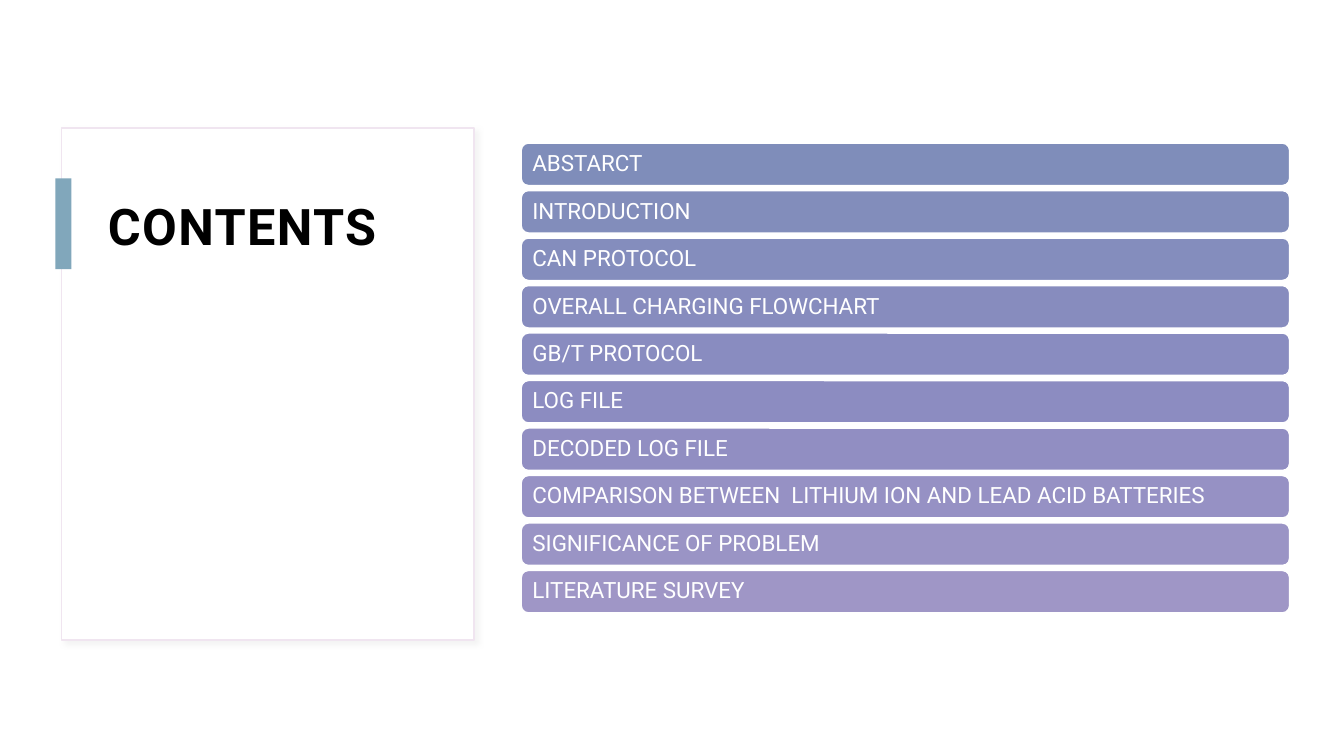
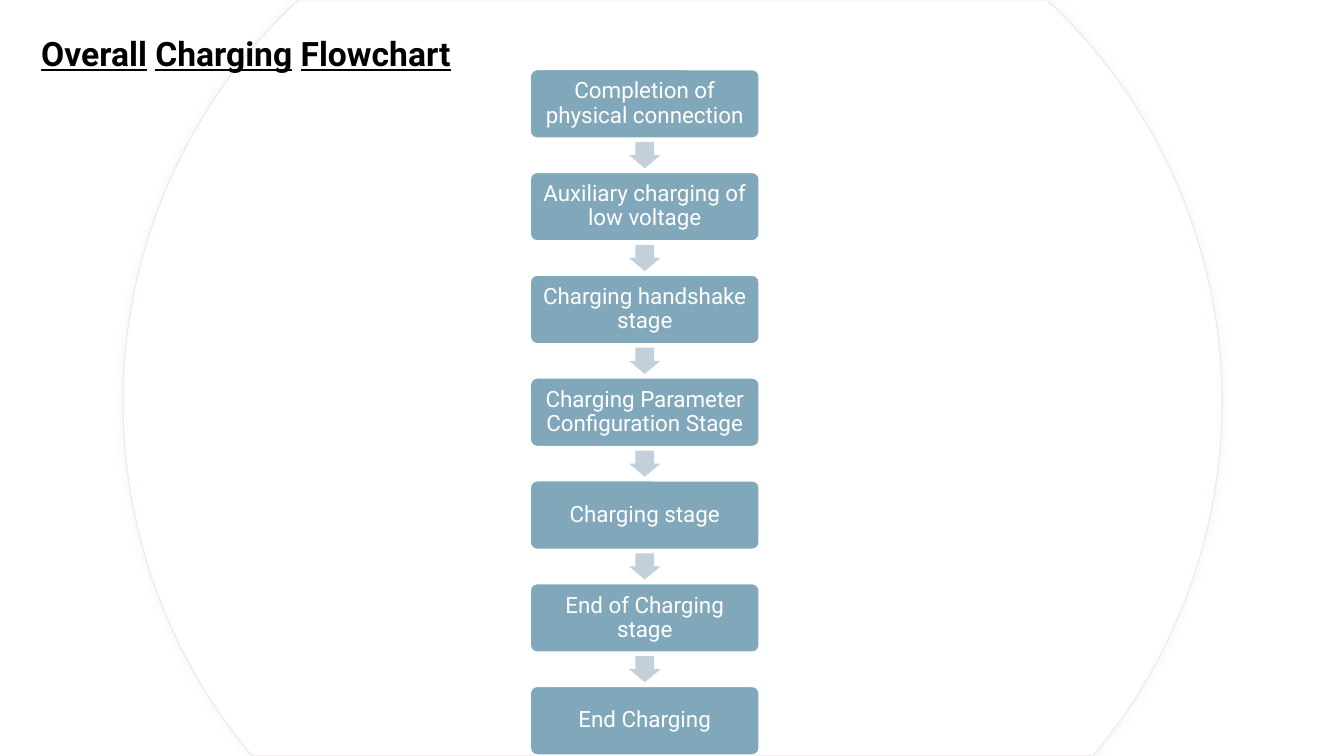
from math import asin, cos, sin

from lxml import etree
from pptx import Presentation
from pptx.dml.color import RGBColor
from pptx.enum.shapes import MSO_SHAPE as SHAPE
from pptx.enum.text import MSO_ANCHOR as ANCHOR, PP_ALIGN as ALIGN
from pptx.oxml.ns import qn
from pptx.util import Inches, Pt

FONT = "Roboto"
COLORS = {
    "white": "FFFFFF",
    "text": "000000",
    "accent": "81A7BB",
    "arrow": "C1D0DA",
    "edge": "F0E5F0",
    "shadow": "D9D9D9",
    "bar_first": "7F8DBA",
    "bar_middle": "8C8CC1",
    "bar_last": "9F96C6",
}
TOPICS = [
    "ABSTARCT",
    "INTRODUCTION",
    "CAN PROTOCOL",
    "OVERALL CHARGING FLOWCHART",
    "GB/T PROTOCOL",
    "LOG FILE",
    "DECODED LOG FILE",
    "COMPARISON BETWEEN  LITHIUM ION AND LEAD ACID BATTERIES",
    "SIGNIFICANCE OF PROBLEM",
    "LITERATURE SURVEY",
]
STAGES = [
    "Completion of physical connection",
    "Auxiliary charging of low voltage",
    "Charging handshake stage",
    "Charging Parameter Configuration Stage",
    "Charging stage",
    "End of Charging stage",
    "End Charging",
]


def rgb(color):
    return RGBColor.from_string(COLORS.get(color, color))


def style(sp, fill, line=None, width=1):
    sp.shadow.inherit = False
    sp.fill.solid()
    sp.fill.fore_color.rgb = rgb(fill)
    if line:
        sp.line.color.rgb = rgb(line)
        sp.line.width = Pt(width)
    else:
        sp.line.fill.background()
    return sp


def add_box(slide, kind, box, fill, line=None):
    sp = slide.shapes.add_shape(kind, *map(Inches, box))
    return style(sp, fill, line)


def add_soft_shadow(sp, blur, dist, angle):
    """Give a styled shape an outer shadow; blur and dist in points, angle in degrees."""
    effects = sp._element.spPr.find(qn("a:effectLst"))
    shadow = etree.SubElement(
        effects, qn("a:outerShdw"), blurRad=str(Pt(blur)), dist=str(Pt(dist)),
        dir=str(angle * 60000), algn="ctr", rotWithShape="0")
    color = etree.SubElement(shadow, qn("a:srgbClr"), val=COLORS["shadow"])
    etree.SubElement(color, qn("a:alpha"), val="30000")


def set_font(p, size, color, bold=False):
    p.font.name = FONT
    p.font.size = Pt(size)
    p.font.bold = bold
    p.font.color.rgb = rgb(color)


def set_label(sp, text, align):
    tf = sp.text_frame
    tf.word_wrap = True
    tf.vertical_anchor = ANCHOR.MIDDLE
    tf.margin_left = tf.margin_right = Inches(0.09)
    tf.margin_top = tf.margin_bottom = Inches(0.07)
    p = tf.paragraphs[0]
    p.text = text
    p.alignment = align
    p.line_spacing = 0.9
    set_font(p, 16, "white")


def add_text_box(slide, box, inset_x, inset_y):
    tf = slide.shapes.add_textbox(*map(Inches, box)).text_frame
    tf.word_wrap = True
    tf.margin_left = tf.margin_right = Inches(inset_x)
    tf.margin_top = tf.margin_bottom = Inches(inset_y)
    return tf.paragraphs[0]


def blend(start, end, share):
    """Return the hex colour that lies at share (0 to 1) between two colours."""
    return "".join(f"{round(a + (b - a) * share):02X}" for a, b in zip(rgb(start), rgb(end)))


def bar_color(i, middle=5):
    if i <= middle:
        return blend("bar_first", "bar_middle", i / middle)
    return blend("bar_middle", "bar_last", (i - middle) / (len(TOPICS) - 1 - middle))


def add_title_panel(slide, x, y, w, h):
    panel = add_box(slide, SHAPE.RECTANGLE, (x, y, w, h), "white", "edge")
    add_soft_shadow(panel, blur=4, dist=3, angle=45)
    p = add_text_box(slide, (x + 0.34, y + 0.61, w - 0.7, h - 1.23), 0.12, 0.12)
    p.line_spacing = 0.9
    set_font(p, 36, "text", bold=True)
    r = p.add_run()
    r.text = "CONTENTS"
    r._r.get_or_add_rPr().set("spc", "100")
    add_box(slide, SHAPE.RECTANGLE, (x - 0.06, y + 0.5, 0.16, 0.9), "accent")


def add_topic_bars(slide, x, y, w, h, bar_h=0.42):
    pitch = (h - bar_h) / (len(TOPICS) - 1)
    for i, topic in enumerate(TOPICS):
        bar = add_box(slide, SHAPE.ROUNDED_RECTANGLE, (x, y + i * pitch, w, bar_h),
                      bar_color(i), "white")
        set_label(bar, topic, ALIGN.LEFT)


def add_cut_circle(slide, cx, cy, radius, top, bottom, steps=60):
    """Draw a circle cut off flat at the heights top and bottom."""
    start, end = asin((top - cy) / radius), asin((bottom - cy) / radius)
    angles = [start + (end - start) * i / steps for i in range(steps + 1)]
    right = [(cx + radius * cos(a), cy + radius * sin(a)) for a in angles]
    left = [(2 * cx - px, py) for px, py in reversed(right)]
    points = [(Inches(px), Inches(py)) for px, py in right + left]
    builder = slide.shapes.build_freeform(*points[0])
    builder.add_line_segments(points[1:], close=True)
    sp = style(builder.convert_to_shape(), "white", "edge", 0.75)
    add_soft_shadow(sp, blur=6, dist=0, angle=0)


def add_flow(slide, x, y, w, h, box_h=0.68, arrow_w=0.31, arrow_h=0.26):
    pitch = (h - box_h) / (len(STAGES) - 1)
    for i, stage in enumerate(STAGES):
        top = y + i * pitch
        if i:
            arrow_top = top - (pitch - box_h + arrow_h) / 2
            arrow = add_box(slide, SHAPE.DOWN_ARROW,
                            (x + (w - arrow_w) / 2, arrow_top, arrow_w, arrow_h), "arrow")
            arrow.adjustments[0] = 0.6
            arrow.adjustments[1] = 0.5
        box = add_box(slide, SHAPE.ROUNDED_RECTANGLE, (x, top, w, box_h), "accent", "white")
        box.adjustments[0] = 0.1
        set_label(box, stage, ALIGN.CENTER)


def add_underlined_title(slide, words, box):
    """Write a heading whose words are underlined but not the gaps between them."""
    p = add_text_box(slide, box, 0.1, 0.05)
    set_font(p, 24, "text", bold=True)
    for i, word in enumerate(words):
        if i:
            p.add_run().text = " "
        r = p.add_run()
        r.text = word
        r.font.underline = True


def build_contents(slide):
    add_title_panel(slide, 0.61, 1.27, 4.09, 5.08)
    add_topic_bars(slide, 5.17, 1.42, 7.62, 4.66)


def build_flowchart(slide):
    add_cut_circle(slide, 6.67, 3.99, 5.45, 0, 7.5)
    add_flow(slide, 5.26, 0.69, 2.27, 6.8)
    add_underlined_title(slide, ["Overall", "Charging", "Flowchart"], (0.31, 0.28, 5.19, 0.5))


def main():
    prs = Presentation()
    prs.slide_width = Inches(13.33)
    prs.slide_height = Inches(7.5)
    for build in (build_contents, build_flowchart):
        build(prs.slides.add_slide(prs.slide_layouts[6]))
    prs.save("out.pptx")


if __name__ == "__main__":
    main()
